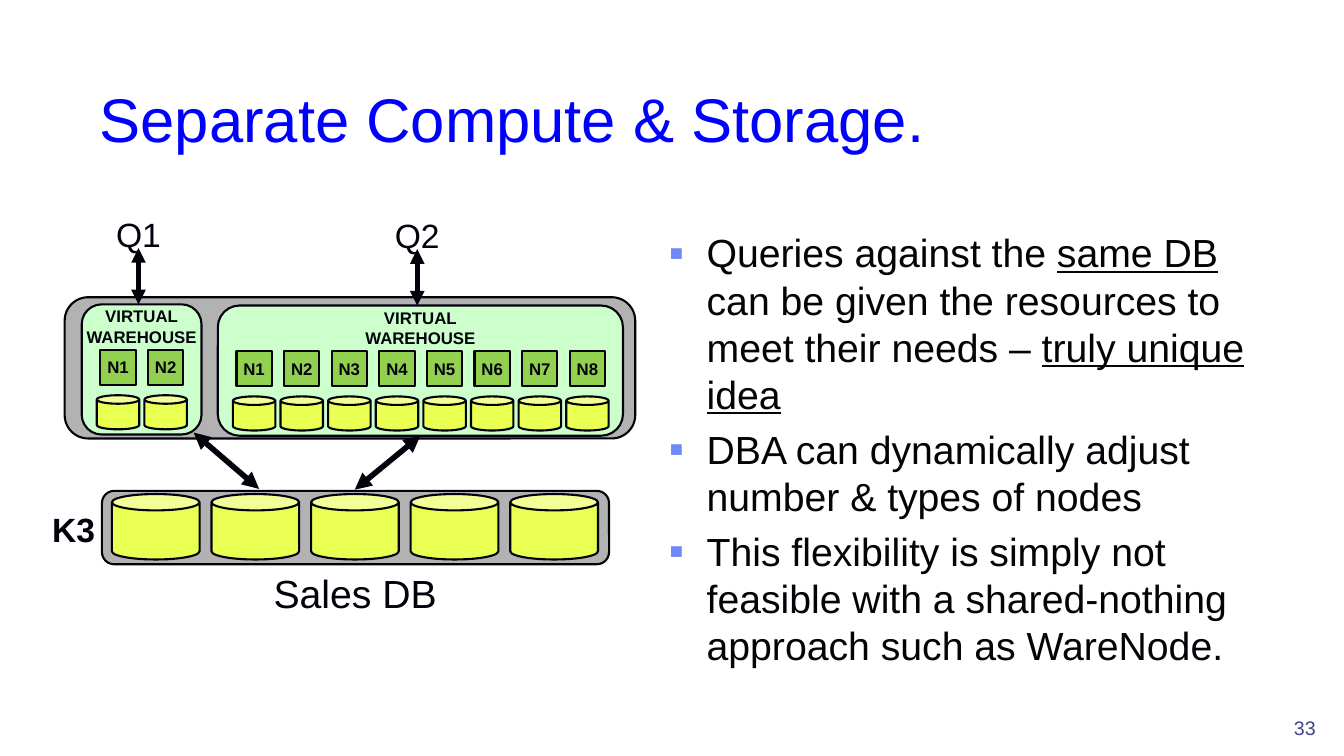
from lxml import etree
from pptx import Presentation
from pptx.dml.color import RGBColor
from pptx.enum.shapes import MSO_CONNECTOR, MSO_SHAPE
from pptx.enum.text import MSO_ANCHOR, PP_ALIGN
from pptx.oxml.ns import qn
from pptx.util import Cm, Pt

STRAIGHT = MSO_CONNECTOR.STRAIGHT
CAN, RECT, ROUNDED = MSO_SHAPE.CAN, MSO_SHAPE.RECTANGLE, MSO_SHAPE.ROUNDED_RECTANGLE
TOP, MIDDLE, BOTTOM = MSO_ANCHOR.TOP, MSO_ANCHOR.MIDDLE, MSO_ANCHOR.BOTTOM
LEFT, CENTER, RIGHT = PP_ALIGN.LEFT, PP_ALIGN.CENTER, PP_ALIGN.RIGHT

INK = RGBColor(0x01, 0x02, 0x0B)
BODY_INK = RGBColor(0x04, 0x04, 0x08)
TITLE_BLUE = RGBColor(0x00, 0x00, 0xFF)
NUMBER_BLUE = RGBColor(0x40, 0x45, 0x8C)
GREY = RGBColor(0xB2, 0xB2, 0xB2)
MINT = RGBColor(0xCC, 0xFF, 0xCC)
GREEN = RGBColor(0x92, 0xD0, 0x50)
YELLOW = RGBColor(0xE9, 0xFF, 0x51)
BULLET_BLUE = RGBColor(0x6F, 0x89, 0xF7)

POINTS = [
    [("Queries against the ", False), ("same DB ", True),
     ("can be given the resources to meet their needs – ", False),
     ("truly unique idea", True)],
    [("DBA can dynamically adjust number & types of nodes", False)],
    [("This flexibility is simply not feasible with a shared-nothing "
      "approach such as WareNode.", False)],
]


def style_font(font, size, color, bold=False):
    font.name = "Arial"
    font.size = Pt(size)
    font.bold = bold
    font.color.rgb = color


def write(frame, text, size, color=INK, bold=False, align=CENTER, anchor=TOP):
    frame.text = text
    frame.word_wrap = True
    frame.vertical_anchor = anchor
    for paragraph in frame.paragraphs:
        paragraph.alignment = align
        style_font(paragraph.font, size, color, bold)


def add_label(slide, left, top, width, height, text, size, **style):
    label = slide.shapes.add_textbox(Cm(left), Cm(top), Cm(width), Cm(height))
    write(label.text_frame, text, size, **style)


def add_block(slide, kind, left, top, width, height, fill):
    block = slide.shapes.add_shape(kind, Cm(left), Cm(top), Cm(width), Cm(height))
    block.shadow.inherit = False
    block.fill.solid()
    block.fill.fore_color.rgb = fill
    block.line.color.rgb = INK
    block.line.width = Pt(1.5)
    return block


def add_arrow(slide, x1, y1, x2, y2, width):
    arrow = slide.shapes.add_connector(STRAIGHT, Cm(x1), Cm(y1), Cm(x2), Cm(y2))
    arrow.line.color.rgb = INK
    arrow.line.width = Pt(width)
    line = arrow.line._get_or_add_ln()
    for end in ("a:headEnd", "a:tailEnd"):
        etree.SubElement(line, qn(end), type="triangle")
    etree.SubElement(arrow._element.spPr, qn("a:effectLst"))
    return arrow


def add_warehouse(slide, left, top, width, height, node_count, query):
    warehouse = add_block(slide, ROUNDED, left, top, width, height, MINT)
    center = left + width / 2
    add_label(slide, center - 1.65, top - 0.08, 3.3, 1.17,
              "VIRTUAL\nWAREHOUSE", 12, bold=True)
    for index in range(node_count):
        node_left = left + 0.38 + 1.2 * index
        add_block(slide, CAN, node_left, top + 2.29, 1.07, 0.86, YELLOW)
        node = add_block(slide, RECT, node_left + 0.09, top + 1.14, 0.89, 0.89, GREEN)
        frame = node.text_frame
        frame.margin_left = frame.margin_right = 0
        frame.margin_top = frame.margin_bottom = 0
        write(frame, f"N{index + 1}", 12, bold=True, anchor=MIDDLE)
    query_x = center - 0.08
    add_label(slide, query_x - 2.83, top - 2.4, 5.66, 1.17, query, 24)
    add_arrow(slide, query_x, top - 1.42, query_x, top, 3.5)
    return warehouse


def add_compute(slide, left, top, width, height):
    add_block(slide, ROUNDED, left, top, width, height, GREY)
    add_warehouse(slide, left + 0.43, top + 0.18, 3.02, 3.28, 2, "Q1")
    return add_warehouse(slide, left + 3.86, top + 0.21, 10.21, 3.28, 8, "Q2")


def add_storage(slide, left, top, width, height):
    add_block(slide, ROUNDED, left, top, width, height, GREY)
    for index in range(5):
        add_block(slide, CAN, left + 0.25 + 2.51 * index, top + 0.08, 2.21, 1.65, YELLOW)
    add_label(slide, left + 3.55, top + height, 5.66, 1.32, "Sales DB", 28)
    add_label(slide, left - 2.06, top + 0.33, 2.69, 1.17, "K3", 24, bold=True)


def add_points(slide, left, top, width, height):
    frame = slide.shapes.add_textbox(Cm(left), Cm(top), Cm(width), Cm(height)).text_frame
    frame.word_wrap = True
    for index, parts in enumerate(POINTS):
        paragraph = frame.add_paragraph() if index else frame.paragraphs[0]
        properties = paragraph._p.get_or_add_pPr()
        properties.set("marL", str(Cm(0.95)))
        properties.set("indent", str(-Cm(0.95)))
        color = etree.SubElement(properties, qn("a:buClr"))
        etree.SubElement(color, qn("a:srgbClr"), val=str(BULLET_BLUE))
        etree.SubElement(properties, qn("a:buSzPct"), val="110000")
        etree.SubElement(properties, qn("a:buFont"), typeface="Arial")
        etree.SubElement(properties, qn("a:buChar"), char="▪")
        if index:
            paragraph.space_before = Pt(5.6)
        for text, underlined in parts:
            run = paragraph.add_run()
            run.text = text
            style_font(run.font, 28, BODY_INK)
            run.font.underline = underlined


def main():
    deck = Presentation()
    deck.slide_width, deck.slide_height = Cm(33.87), Cm(19.05)
    slide = deck.slides.add_slide(deck.slide_layouts[6])
    add_label(slide, 2.26, 0.84, 28.78, 3.18, "Separate Compute & Storage.", 44,
              color=TITLE_BLUE, align=LEFT, anchor=BOTTOM)
    add_points(slide, 16.61, 5.64, 15.09, 11.43)
    add_storage(slide, 2.57, 12.37, 12.78, 1.85)
    large_warehouse = add_compute(slide, 1.63, 7.49, 14.38, 3.56)
    add_arrow(slide, 4.88, 10.9, 6.53, 12.32, 4)
    large_arrow = add_arrow(slide, 10.6, 10.98, 8.94, 12.34, 4)
    large_arrow.begin_connect(large_warehouse, 2)
    add_label(slide, 30.84, 17.48, 2.57, 1.27, "33", 14,
              color=NUMBER_BLUE, align=RIGHT, anchor=BOTTOM)
    deck.save("out.pptx")


if __name__ == "__main__":
    main()
